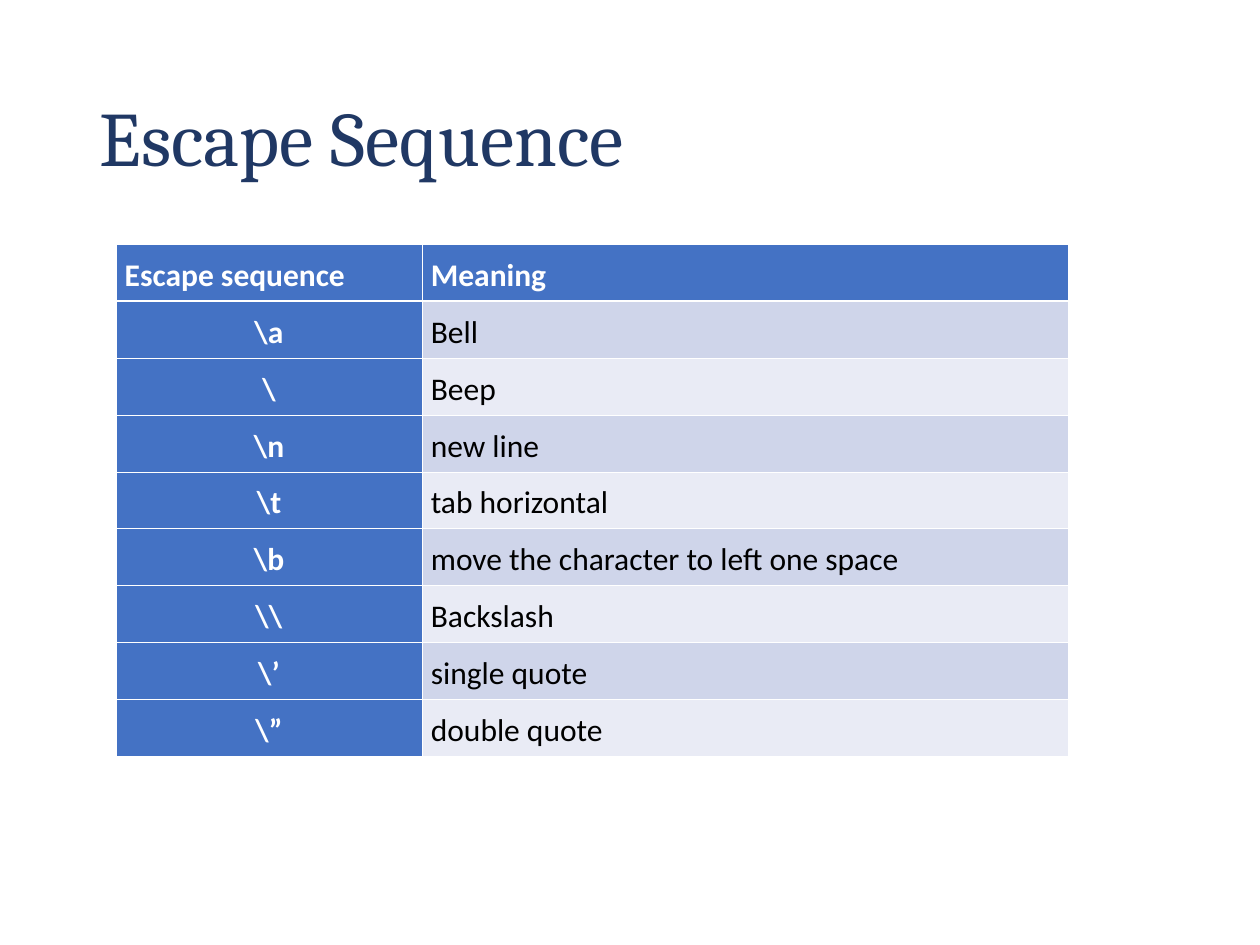
from lxml import etree
from pptx import Presentation
from pptx.dml.color import RGBColor
from pptx.enum.text import MSO_ANCHOR, MSO_AUTO_SIZE, PP_ALIGN
from pptx.oxml.ns import qn
from pptx.util import Inches, Pt

LEFT, CENTER = PP_ALIGN.LEFT, PP_ALIGN.CENTER
TOP, MIDDLE = MSO_ANCHOR.TOP, MSO_ANCHOR.MIDDLE
NO_FIT = MSO_AUTO_SIZE.NONE

NAVY = RGBColor(0x20, 0x38, 0x64)
BLUE = RGBColor(0x44, 0x72, 0xC4)
BAND_DARK = RGBColor(0xCF, 0xD5, 0xEA)
BAND_LIGHT = RGBColor(0xE9, 0xEB, 0xF5)
WHITE = RGBColor(0xFF, 0xFF, 0xFF)
BLACK = RGBColor(0x00, 0x00, 0x00)

THIN, THICK = Pt(0.45), Pt(1.47)

ROWS = [
    ("Escape sequence", "Meaning"),
    ("\\a", "Bell"),
    ("\\", "Beep"),
    ("\\n", "new line"),
    ("\\t", "tab horizontal"),
    ("\\b", "move the character to left one space"),
    ("\\\\", "Backslash"),
    ("\\’", "single quote"),
    ("\\”", "double quote"),
]


def add_border(cell, side, width):
    properties = cell._tc.get_or_add_tcPr()
    line = etree.SubElement(properties, qn("a:" + side), w=str(width))
    fill = etree.SubElement(line, qn("a:solidFill"))
    etree.SubElement(fill, qn("a:srgbClr"), val=str(WHITE))


deck = Presentation()
deck.slide_width, deck.slide_height = Inches(10), Inches(7.5)
page = deck.slides.add_slide(deck.slide_layouts[5])

# Title
title = page.shapes.title
title.left, title.top = Inches(0.69), Inches(0.4)
title.width, title.height = Inches(8.63), Inches(1.45)
title.text_frame.text = "Escape Sequence"
title.text_frame.auto_size = NO_FIT
title.text_frame.vertical_anchor = MIDDLE
para = title.text_frame.paragraphs[0]
para.alignment = LEFT
para.line_spacing = 0.9
para.font.name = "Cambria"
para.font.size = Pt(44)
para.font.color.rgb = NAVY

# Table grid
row_height = Inches(0.35)
table = page.shapes.add_table(
    len(ROWS), 2, Inches(0.92), Inches(1.94), Inches(7.56), row_height * len(ROWS)
).table
table.first_col = True
table.columns[0].width = Inches(2.43)
table.columns[1].width = Inches(5.13)

# Table cells
for row, texts in enumerate(ROWS):
    table.rows[row].height = row_height
    for column, text in enumerate(texts):
        is_heading = row == 0 or column == 0
        cell = table.cell(row, column)
        cell.text = text
        cell.vertical_anchor = TOP
        cell.margin_left = cell.margin_right = Inches(0.07)
        cell.margin_top = cell.margin_bottom = Inches(0.05)

        add_border(cell, "lnL", THIN)
        add_border(cell, "lnR", THIN)
        add_border(cell, "lnT", THICK if row == 1 else THIN)
        add_border(cell, "lnB", THICK if row == 0 else THIN)

        cell.fill.solid()
        band = BAND_DARK if row % 2 else BAND_LIGHT
        cell.fill.fore_color.rgb = BLUE if is_heading else band

        para = cell.text_frame.paragraphs[0]
        para.alignment = CENTER if row > 0 and column == 0 else LEFT
        para.line_spacing = 1.15
        para.font.name = "Calibri"
        para.font.size = Pt(18)
        para.font.bold = is_heading
        para.font.color.rgb = WHITE if is_heading else BLACK

deck.save("out.pptx")
